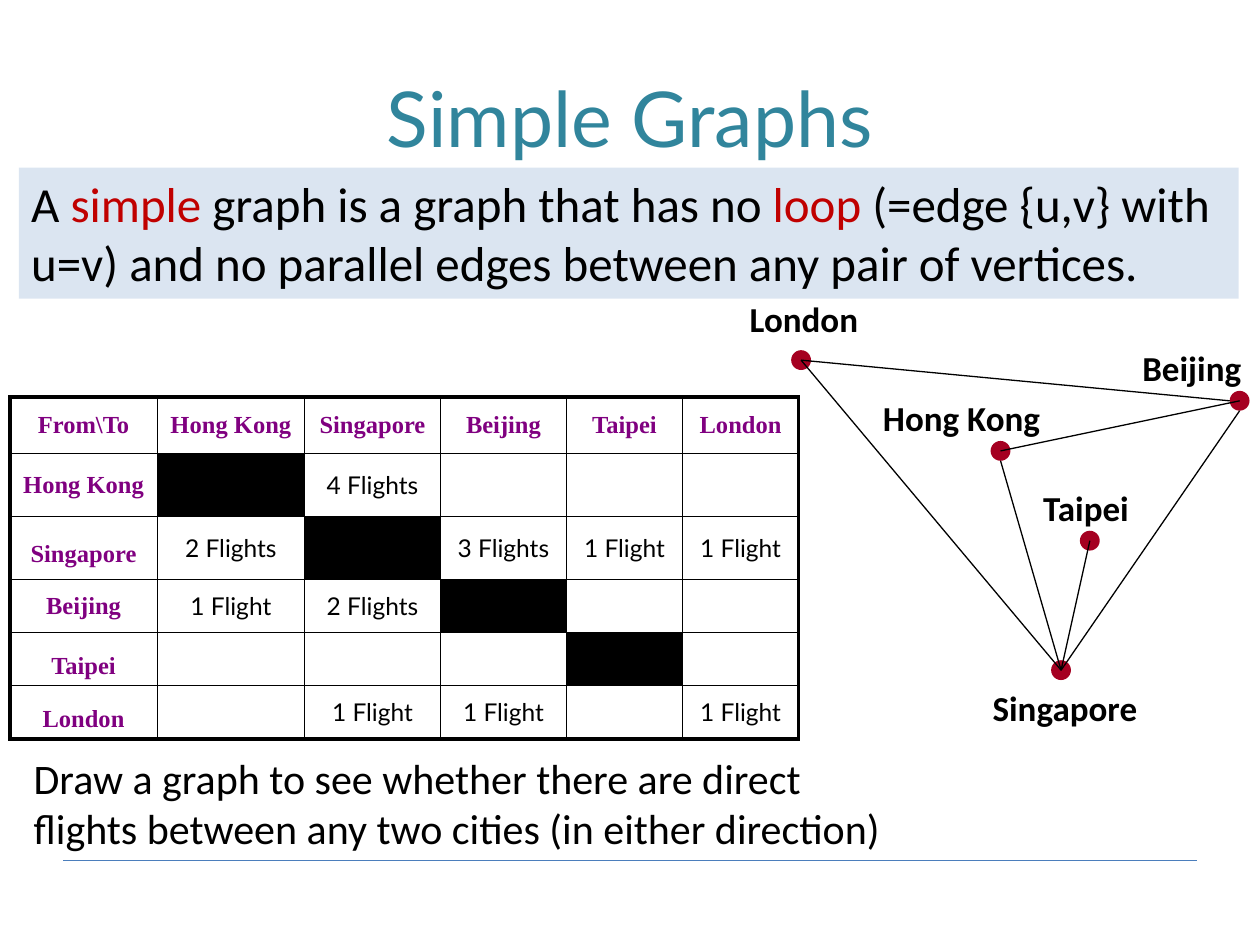
from lxml.etree import SubElement
from pptx import Presentation
from pptx.dml.color import RGBColor
from pptx.enum.shapes import MSO_CONNECTOR, MSO_SHAPE
from pptx.enum.text import MSO_ANCHOR, PP_ALIGN
from pptx.oxml.ns import qn
from pptx.util import Cm, Pt

BLACK, RED, PLUM = "000000", "C00000", "800080"
COLS = [2.97, 2.97, 2.74, 2.54, 2.34, 2.34]
ROWS = [1.14, 1.27, 1.27, 1.07, 1.07, 1.07]
FLIGHTS = [
    ["From\\To", "Hong Kong", "Singapore", "Beijing", "Taipei", "London"],
    ["Hong Kong", "", "4 Flights", "", "", ""],
    ["Singapore", "2 Flights", "", "3 Flights", "1 Flight", "1 Flight"],
    ["Beijing", "1 Flight", "2 Flights", "", "", ""],
    ["Taipei", "", "", "", "", ""],
    ["London", "", "1 Flight", "1 Flight", "", "1 Flight"],
]
LOW = ("Singapore", "Taipei", "London")
R = 0.2
CITIES = {
    "Hong Kong": (20.17, 9.09),
    "Beijing": (24.99, 8.08),
    "Taipei": (21.97, 10.9),
    "London": (16.15, 7.26),
    "Singapore": (21.39, 13.51),
}
LABELS = {
    "London": (14.73, 5.87, 2.82),
    "Taipei": (20.78, 9.68, 2.41),
    "Hong Kong": (17.55, 7.87, 4.62),
    "Beijing": (22.78, 6.86, 2.62),
    "Singapore": (19.76, 13.72, 3.81),
}
EDGES = [
    ("Singapore", "Taipei", 0, 0),
    ("Singapore", "Beijing", 0, R),
    ("Singapore", "Hong Kong", 0, R),
    ("Singapore", "London", 0, 0),
    ("Beijing", "Hong Kong", 0, 0),
    ("London", "Beijing", -R, 0),
]


def tint(code):
    return RGBColor.from_string(code)


def box(left, top, width, height):
    return Cm(left), Cm(top), Cm(width), Cm(height)


def write(frame, runs, size, font="Calibri", bold=False, align=PP_ALIGN.LEFT):
    para = frame.paragraphs[0]
    para.alignment = align
    for text, color in runs:
        run = para.add_run()
        run.text = text
        run.font.size = Pt(size)
        run.font.name = font
        run.font.bold = bold
        run.font.color.rgb = tint(color)
    return para


def add_title(slide):
    title = slide.shapes.title
    title.left, title.top, title.width, title.height = box(1.27, 0.76, 22.86, 3.18)
    title.text_frame.vertical_anchor = MSO_ANCHOR.MIDDLE
    write(title.text_frame, [("Simple Graphs", "31859C")], 44, "Lato", align=PP_ALIGN.CENTER)


def add_form(shapes, kind, place, color):
    form = shapes.add_shape(kind, *place)
    form.shadow.inherit = False
    form.fill.solid()
    form.fill.fore_color.rgb = tint(color)
    form.line.fill.background()
    return form


def add_rule(shapes, start, end, color):
    (x1, y1), (x2, y2) = start, end
    rule = shapes.add_connector(MSO_CONNECTOR.STRAIGHT, Cm(x1), Cm(y1), Cm(x2), Cm(y2))
    rule.line.color.rgb = tint(color)
    rule.line.width = Pt(0.75)
    SubElement(rule._element.spPr, qn("a:effectLst"))


def add_text(shapes, place, text, size, bold=False, align=PP_ALIGN.LEFT):
    frame = shapes.add_textbox(*place).text_frame
    frame.word_wrap = True
    write(frame, [(text, BLACK)], size, bold=bold, align=align)


def add_banner(shapes):
    banner = add_form(shapes, MSO_SHAPE.RECTANGLE, box(0.38, 3.38, 24.59, 2.64), "4F81BD")
    shade = banner._element.spPr.find(qn("a:solidFill"))[0]
    SubElement(shade, qn("a:alpha"), val="20000")
    banner.text_frame.vertical_anchor = MSO_ANCHOR.TOP
    write(banner.text_frame, [
        ("A ", BLACK),
        ("simple", RED),
        (" graph is a graph that has no ", BLACK),
        ("loop", RED),
        (" (=edge {u,v} with u=v) and no parallel edges between any pair of vertices.", BLACK),
    ], 28)


def add_border(cell, row, col):
    props = cell._tc.get_or_add_tcPr()
    last = len(COLS) - 1
    outer = {"L": col == 0, "R": col == last, "T": row == 0, "B": row == last}
    for side, thick in outer.items():
        line = SubElement(props, qn("a:ln" + side), w=str(Pt(2.25 if thick else 1)))
        fill = SubElement(line, qn("a:solidFill"))
        SubElement(fill, qn("a:srgbClr"), val=BLACK)


def fill_cell(cell, text, row, col):
    add_border(cell, row, col)
    cell.vertical_anchor = MSO_ANCHOR.MIDDLE
    if row == col and not text:
        cell.fill.solid()
        cell.fill.fore_color.rgb = tint(BLACK)
    else:
        cell.fill.background()
    if not text:
        return
    head = row == 0 or col == 0
    font, color = ("Times New Roman", PLUM) if head else ("Lato", BLACK)
    para = write(cell.text_frame, [(text, color)], 14, font, head, PP_ALIGN.CENTER)
    if col == 0 and text in LOW:
        para.line_spacing = 1.5


def add_grid(shapes):
    place = box(0.2, 8, sum(COLS), sum(ROWS))
    table = shapes.add_table(len(ROWS), len(COLS), *place).table
    table.first_row = table.horz_banding = False
    for col, width in zip(table.columns, COLS):
        col.width = Cm(width)
    for row, height in zip(table.rows, ROWS):
        row.height = Cm(height)
    for i, line in enumerate(FLIGHTS):
        for j, text in enumerate(line):
            fill_cell(table.cell(i, j), text, i, j)


def add_graph(shapes):
    graph = shapes.add_group_shape().shapes
    for x, y in CITIES.values():
        add_form(graph, MSO_SHAPE.OVAL, box(x - R, y - R, 2 * R, 2 * R), "A50021")
    for city, (left, top, width) in LABELS.items():
        align = PP_ALIGN.RIGHT if city == "London" else PP_ALIGN.LEFT
        add_text(graph, box(left, top, width, 1.04), city, 20, True, align)
    for start, end, dx, dy in EDGES:
        x, y = CITIES[end]
        add_rule(graph, CITIES[start], (x + dx, y + dy), BLACK)


def main():
    deck = Presentation()
    deck.slide_width, deck.slide_height = Cm(25.4), Cm(19.05)
    slide = deck.slides.add_slide(deck.slide_layouts[5])
    shapes = slide.shapes
    add_rule(shapes, (1.27, 17.35), (24.13, 17.35), "4B7EBC")
    add_grid(shapes)
    add_title(slide)
    add_banner(shapes)
    prompt = ("Draw a graph to see whether there are direct flights "
              "between any two cities (in either direction)")
    add_text(shapes, box(0.43, 15.04, 17.78, 2.31), prompt, 24)
    add_graph(shapes)
    deck.save("out.pptx")


if __name__ == "__main__":
    main()
